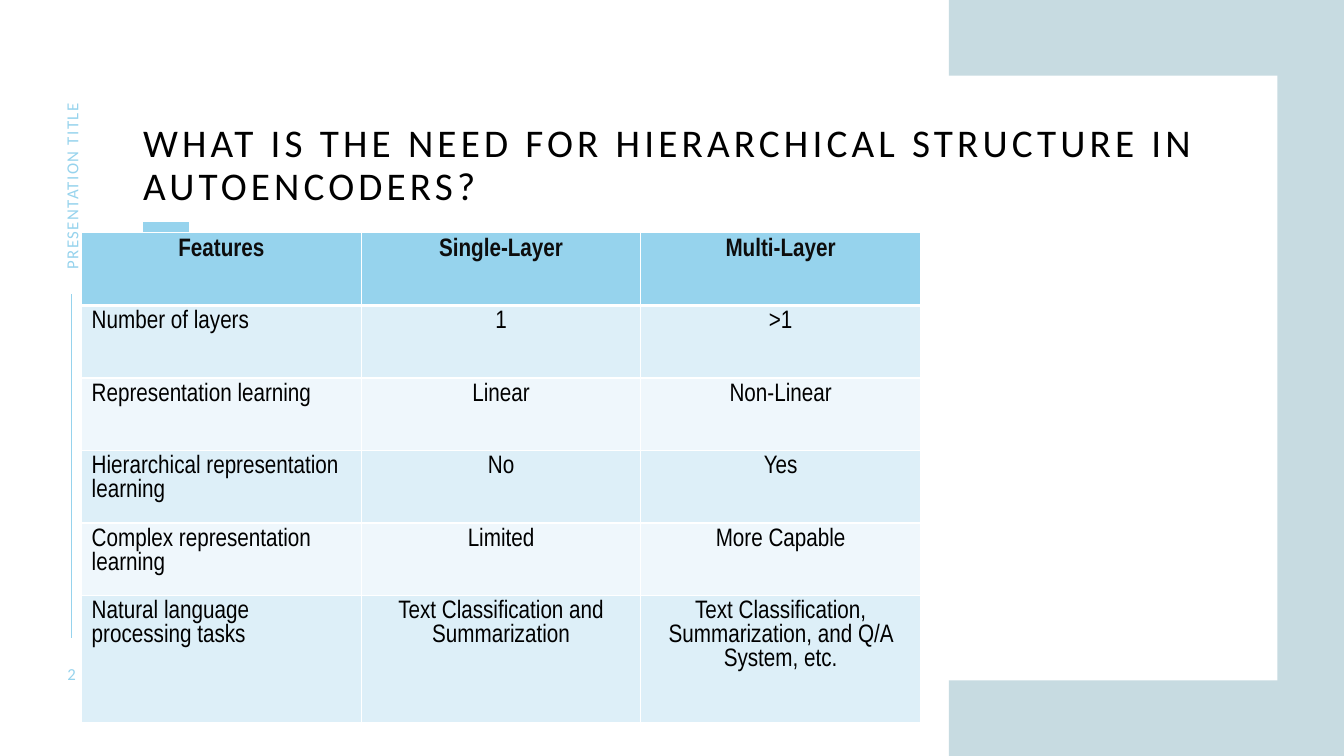
import pptx
import pptx.util
import pptx.dml.color
import pptx.enum.shapes
import pptx.enum.text
import pptx.oxml
import pptx.oxml.ns
from lxml import etree

Inches = pptx.util.Inches
Pt = pptx.util.Pt
RGBColor = pptx.dml.color.RGBColor
ALIGN = pptx.enum.text.PP_ALIGN
ANCHOR = pptx.enum.text.MSO_ANCHOR

SKY = RGBColor(0x96, 0xD3, 0xED)
MIST = RGBColor(0xC7, 0xDB, 0xE1)
BAND_DARK = RGBColor(0xDD, 0xEF, 0xF8)
BAND_LIGHT = RGBColor(0xEF, 0xF7, 0xFC)
WHITE = RGBColor(0xFF, 0xFF, 0xFF)
BLACK = RGBColor(0, 0, 0)
HEADER_INK = RGBColor(0x0D, 0x0D, 0x0D)

TITLE = "WHAT IS THE NEED FOR HIERARCHICAL STRUCTURE IN AUTOENCODERS?"
COMPARISON = [
    ("Features", "Single-Layer", "Multi-Layer"),
    ("Number of layers", "1", ">1"),
    ("Representation learning", "Linear", "Non-Linear"),
    ("Hierarchical representation learning", "No", "Yes"),
    ("Complex representation learning", "Limited", "More Capable"),
    ("Natural language processing tasks", "Text Classification and Summarization",
     "Text Classification, Summarization, and Q/A System, etc."),
]
ROW_HEIGHTS = [0.72] * 5 + [1.26]


def add_panel(slide, left, top, width, height, color):
    panel = slide.shapes.add_shape(pptx.enum.shapes.MSO_SHAPE.RECTANGLE, Inches(left),
                                   Inches(top), Inches(width), Inches(height))
    panel.shadow.inherit = False
    panel.fill.solid()
    panel.fill.fore_color.rgb = color
    panel.line.fill.background()


def add_rule(slide, x1, y1, x2, y2, weight):
    rule = slide.shapes.add_connector(pptx.enum.shapes.MSO_CONNECTOR.STRAIGHT, Inches(x1),
                                      Inches(y1), Inches(x2), Inches(y2))
    rule.line.color.rgb = SKY
    rule.line.width = Pt(weight)
    etree.SubElement(rule._element.spPr, pptx.oxml.ns.qn("a:effectLst"))


def add_label(slide, box, text, size, color, tracking, align=ALIGN.LEFT, anchor=ANCHOR.MIDDLE):
    """Add letter-spaced Calibri text without margins; tracking is in points."""
    label = slide.shapes.add_textbox(*(Inches(length) for length in box))
    frame = label.text_frame
    frame.word_wrap = True
    frame.margin_left = frame.margin_top = frame.margin_right = frame.margin_bottom = 0
    frame.vertical_anchor = anchor
    frame.text = text
    paragraph = frame.paragraphs[0]
    paragraph.alignment = align
    run = paragraph.runs[0]
    run.font.name = "Calibri"
    run.font.size = Pt(size)
    run.font.color.rgb = color
    run.font._element.set("spc", str(tracking * 100))
    return label


def add_backdrop(slide, left, top, width, height):
    """Colour the right side of the box and lay the white page over it."""
    add_panel(slide, left + width - 3.92, top, 3.92, height, MIST)
    add_panel(slide, left + 4.88, top + 0.75, 7.79, height - 1.5, WHITE)


def add_side_strip(slide, left, top, width, height):
    """Stack the sideways running title, a rule and the page number."""
    center = left + width / 2
    add_rule(slide, center, top + 2.3, center, top + 5.71, 1)
    add_label(slide, (left, top + height - 0.2, width, 0.2), "2", 12, SKY, 2, ALIGN.CENTER)
    running_title = add_label(slide, (center - 0.975, top + 0.97, 1.95, 0.21),
                              "PRESENTATION TITLE", 12, SKY, 1)
    running_title.rotation = 270


def add_heading(slide, left, top, width, height):
    heading = add_label(slide, (left, top, width, height), TITLE, 28, BLACK, 3,
                        anchor=ANCHOR.TOP)
    heading.text_frame.paragraphs[0].line_spacing = 0.9
    add_rule(slide, left, top + 1.02, left + 0.45, top + 1.02, 7)


def set_borders(cell, bottom_weight, top_weight):
    properties = cell._tc.get_or_add_tcPr()
    weights = {"lnL": 1, "lnR": 1, "lnT": top_weight, "lnB": bottom_weight}
    for position, (side, weight) in enumerate(weights.items()):
        border = pptx.oxml.parse_xml(
            f'<a:{side} {pptx.oxml.ns.nsdecls("a")} w="{Pt(weight)}">'
            f'<a:solidFill><a:srgbClr val="{WHITE}"/></a:solidFill></a:{side}>')
        properties.insert(position, border)


def add_comparison(slide, left, top, width, height):
    table = slide.shapes.add_table(len(COMPARISON), 3, Inches(left), Inches(top),
                                   Inches(width), Inches(height)).table
    for column in table.columns:
        column.width = Inches(width / 3)
    for row_index, (row, row_height) in enumerate(zip(COMPARISON, ROW_HEIGHTS)):
        table.rows[row_index].height = Inches(row_height)
        is_header = row_index == 0
        band = SKY if is_header else BAND_DARK if row_index % 2 else BAND_LIGHT
        for column_index, text in enumerate(row):
            cell = table.cell(row_index, column_index)
            cell.fill.solid()
            cell.fill.fore_color.rgb = band
            set_borders(cell, 3 if is_header else 1, 3 if row_index == 1 else 1)
            cell.text_frame.text = text
            paragraph = cell.text_frame.paragraphs[0]
            centered = is_header or column_index > 0
            paragraph.alignment = ALIGN.CENTER if centered else ALIGN.LEFT
            font = paragraph.runs[0].font
            font.name = "Arial Narrow"
            font.size = Pt(18)
            font.bold = is_header
            font.color.rgb = HEADER_INK if is_header else BLACK


def main():
    deck = pptx.Presentation()
    deck.slide_width = Inches(13.33)
    deck.slide_height = Inches(7.5)
    slide = deck.slides.add_slide(deck.slide_layouts[6])
    add_backdrop(slide, 0, 0, 13.33, 7.5)
    add_side_strip(slide, 0.46, 0.62, 0.5, 6.16)
    add_heading(slide, 1.42, 1.23, 11.13, 0.6)
    add_comparison(slide, 0.81, 2.31, 8.32, sum(ROW_HEIGHTS))
    deck.save("out.pptx")


if __name__ == "__main__":
    main()
